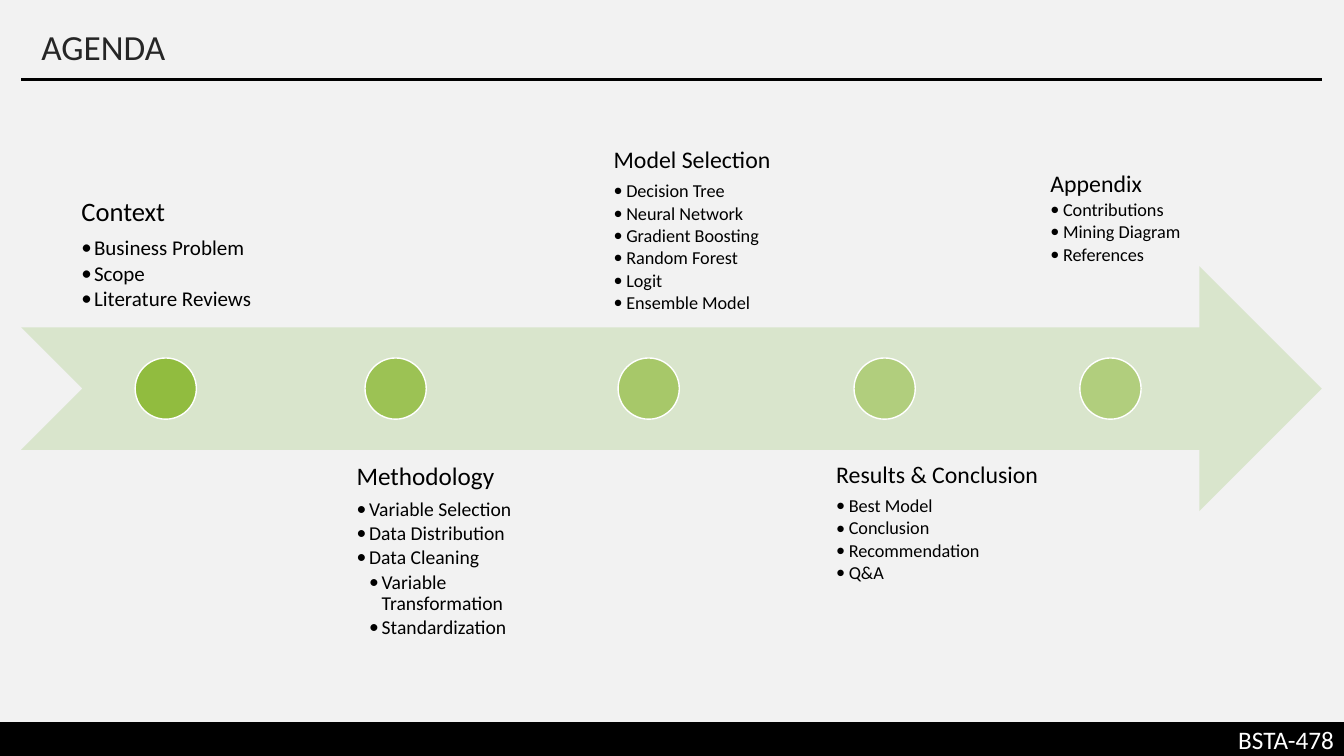
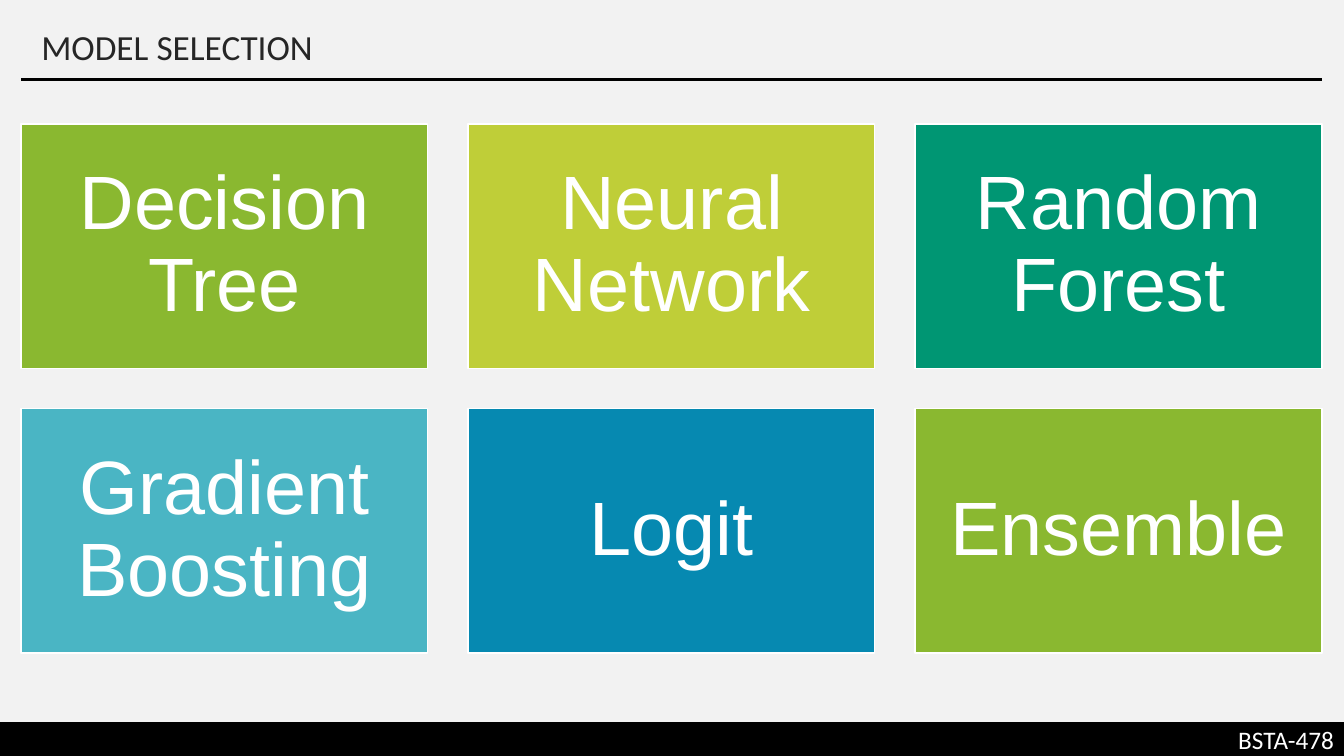
from dataclasses import dataclass

from lxml import etree
from pptx import Presentation
from pptx.dml.color import RGBColor
from pptx.enum.shapes import MSO_CONNECTOR, MSO_SHAPE
from pptx.enum.text import MSO_ANCHOR, PP_ALIGN
from pptx.oxml.ns import qn
from pptx.util import Inches, Pt

RECT, OVAL = MSO_SHAPE.RECTANGLE, MSO_SHAPE.OVAL
ARROW = MSO_SHAPE.NOTCHED_RIGHT_ARROW
LINE = MSO_CONNECTOR.STRAIGHT
TOP, MID, LOW = MSO_ANCHOR.TOP, MSO_ANCHOR.MIDDLE, MSO_ANCHOR.BOTTOM
LEFT, MIDST, RIGHT = PP_ALIGN.LEFT, PP_ALIGN.CENTER, PP_ALIGN.RIGHT


@dataclass(frozen=True)
class Theme:
    back: str = "F2F2F2"
    black: str = "000000"
    white: str = "FFFFFF"
    ink: str = "262626"
    pale: str = "D9E5CC"
    green: str = "8AB830"
    lime: str = "BFCE38"
    teal: str = "009673"
    aqua: str = "4AB5C4"
    blue: str = "0689B1"
    font: str = "Calibri"
    tile_font: str = "Arial"
    title: float = 25.2
    foot: int = 18
    tile: int = 54


T = Theme()
WIDE, HIGH = 13.33, 7.5
EDGE, SPAN = 0.21, 12.9  # left margin and content width

# Heading, items with levels, box, anchor, centred block, inset, sizes, gaps,
# dot left, opacity
STEPS = [
    ("Context",
     [("Business Problem", 1), ("Scope", 1), ("Literature Reviews", 1)],
     (0.22, 0.81, 2.86, 2.43), LOW, True, 0.15, (19, 15), (6.7, 2.2), 1.34, 90),
    ("Methodology",
     [("Variable Selection", 1), ("Data Distribution", 1), ("Data Cleaning", 1),
      ("Variable Transformation", 2), ("Standardization", 2)],
     (3.15, 4.46, 2.31, 2.43), TOP, True, 0.14, (18, 14), (6.3, 2.1), 3.62, 77),
    ("Model Selection",
     [("Decision Tree", 1), ("Neural Network", 1), ("Gradient Boosting", 1),
      ("Random Forest", 1), ("Logit", 1), ("Ensemble Model", 1)],
     (5.63, 0.81, 2.47, 2.43), LOW, True, 0.13, (17, 13), (6, 1.9), 6.13, 63),
    ("Results & Conclusion",
     [("Best Model", 1), ("Conclusion", 1), ("Recommendation", 1), ("Q&A", 1)],
     (8.1, 4.46, 2.39, 2.43), TOP, True, 0.13, (17, 13), (6, 1.9), 8.47, 50),
    ("Appendix",
     [("Contributions", 1), ("Mining Diagram", 1), ("References", 1)],
     (10.32, 1.61, 1.6, 1.13), TOP, False, 0.1, (17, 13), (1.9, 1.9), 10.71, 50),
]

TILES = [
    ("Decision Tree", T.green), ("Neural Network", T.lime),
    ("Random Forest", T.teal), ("Gradient Boosting", T.aqua),
    ("Logit", T.blue), ("Ensemble", T.green),
]


def rgb(code):
    return RGBColor.from_string(code)


def place(box):
    return [Inches(v) for v in box]


def shape(slide, kind, box, fill, line=None):
    item = slide.shapes.add_shape(kind, *place(box))
    item.shadow.inherit = False
    item.fill.solid()
    item.fill.fore_color.rgb = rgb(fill)
    if line:
        item.line.color.rgb = rgb(line)
        item.line.width = Pt(1)
    else:
        item.line.fill.background()
    return item


def frame(item, anchor, side, ends=None):
    """Set wrap, anchor and insets; return the text frame."""
    text = item.text_frame
    text.word_wrap = True
    text.vertical_anchor = anchor
    text.margin_left = text.margin_right = Inches(side)
    text.margin_top = text.margin_bottom = Inches(side if ends is None else ends)
    return text


def style(para, size, color, font=T.font, align=LEFT, space=0.9):
    para.alignment = align
    para.line_spacing = space
    for run in para.runs:
        run.font.size = Pt(size)
        run.font.name = font
        run.font.color.rgb = rgb(color)


def bullet(para, level):
    para.level = level
    props = para._p.get_or_add_pPr()
    props.set("marL", str(Inches(0.125 * level)))
    props.set("indent", str(-Inches(0.125)))
    tint = etree.SubElement(props, qn("a:buClr"))
    etree.SubElement(tint, qn("a:srgbClr"), val=T.black)
    etree.SubElement(props, qn("a:buFont"), typeface=T.font)
    etree.SubElement(props, qn("a:buChar"), char="•")


def base(deck, name):
    """Add a slide with the shared title, rule and footer band."""
    slide = deck.slides.add_slide(deck.slide_layouts[5])
    # Title
    title = slide.shapes.title
    title.left, title.top, title.width, title.height = place((EDGE, 0.16, SPAN, 0.66))
    text = frame(title, MID, 0.2)
    text.text = name
    style(text.paragraphs[0], T.title, T.ink)
    # Rule
    ends = place((EDGE, 0.79, EDGE + SPAN, 0.79))
    rule = slide.shapes.add_connector(LINE, *ends)
    rule.line.color.rgb = rgb(T.black)
    rule.line.width = Pt(2.5)
    etree.SubElement(rule._element.spPr, qn("a:effectLst"))
    # Footer band
    band = shape(slide, RECT, (0, 7.17, WIDE, HIGH - 7.17), T.black, T.black)
    text = frame(band, MID, 0.1, 0.05)
    text.text = "BSTA-478"
    style(text.paragraphs[0], T.foot, T.white, align=RIGHT, space=1.0)
    return slide


def notes(slide, box, head, items, anchor, centred, inset, sizes, gaps):
    """Draw a heading with its bulleted list."""
    text = frame(slide.shapes.add_textbox(*place(box)), anchor, inset)
    if centred:  # centre the block, keep its lines left aligned
        text._txBody.bodyPr.set("anchorCtr", "1")
    text.text = head
    style(text.paragraphs[0], sizes[0], T.black)
    for i, (item, level) in enumerate(items):
        para = text.add_paragraph()
        para.text = item
        bullet(para, level)
        para.space_before = Pt(gaps[min(i, 1)])
        style(para, sizes[1], T.black)


def dot(slide, box, alpha):
    item = shape(slide, OVAL, box, T.green, T.white)
    tint = item._element.spPr.find(qn("a:solidFill"))[0]
    etree.SubElement(tint, qn("a:alpha"), val=str(alpha * 1000))


def timeline(slide, box):
    """Draw the arrow in its box, then each step with a dot on its axis."""
    _, top, _, high = box
    shape(slide, ARROW, box, T.pale)
    size = high / 4
    level = top + (high - size) / 2
    for head, items, area, anchor, centred, inset, sizes, gaps, left, alpha in STEPS:
        notes(slide, area, head, items, anchor, centred, inset, sizes, gaps)
        dot(slide, (left, level, size, size), alpha)


def grid(slide, box, cols=3, rows=2, gap=0.4):
    """Fill the box with equal tiles."""
    left, top, wide, high = box
    w = (wide - gap * (cols - 1)) / cols
    h = (high - gap * (rows - 1)) / rows
    for i, (name, color) in enumerate(TILES):
        row, col = divmod(i, cols)
        area = (left + col * (w + gap), top + row * (h + gap), w, h)
        text = frame(shape(slide, RECT, area, color, T.white), MID, 0.22)
        text.text = name
        style(text.paragraphs[0], T.tile, T.white, T.tile_font, MIDST)


def main():
    deck = Presentation()
    deck.slide_width, deck.slide_height = Inches(WIDE), Inches(HIGH)
    back = deck.slide_master.background.fill
    back.solid()
    back.fore_color.rgb = rgb(T.back)
    timeline(base(deck, "AGENDA"), (EDGE, 2.64, SPAN, 2.43))
    grid(base(deck, "MODEL SELECTION"), (EDGE, 1.23, SPAN, 5.25))
    deck.save("out.pptx")


if __name__ == "__main__":
    main()
